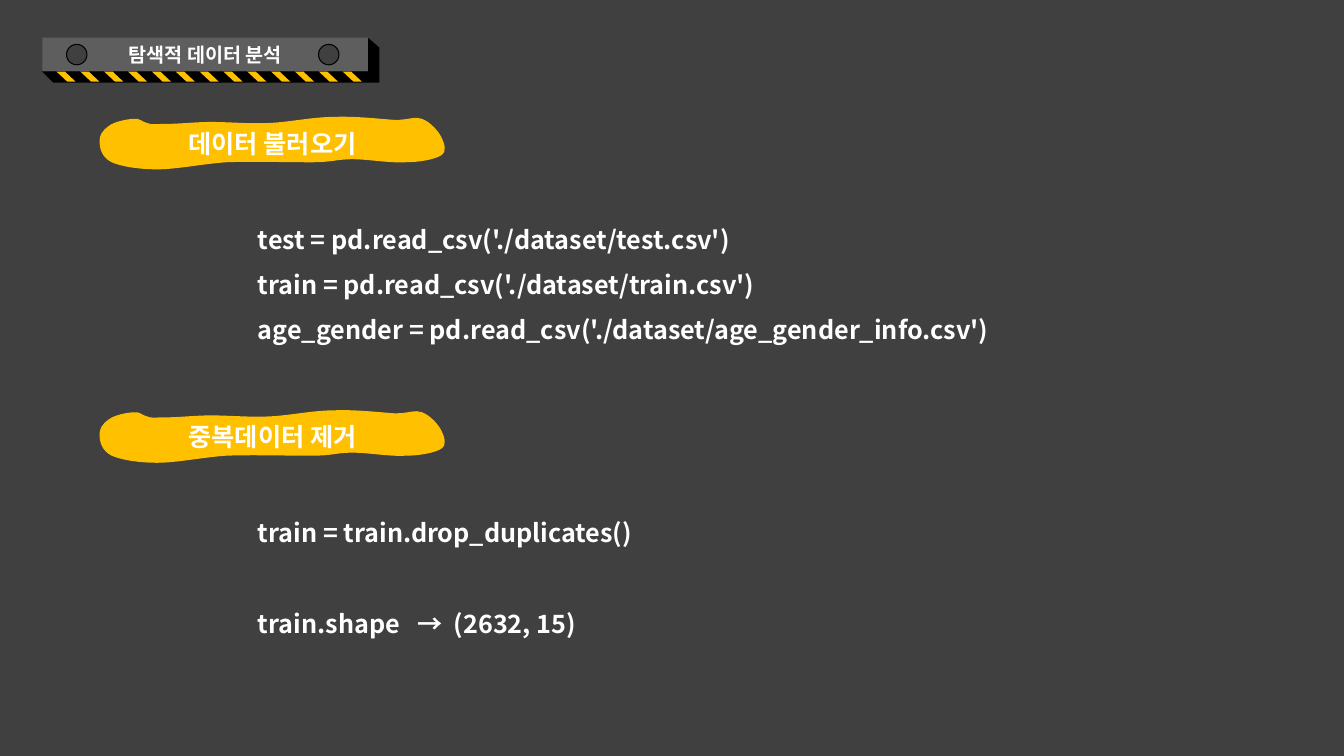
"""Build the data loading and duplicate removal slide."""
from lxml.etree import SubElement as Sub
from pptx import Presentation
from pptx.dml.color import RGBColor
from pptx.enum.shapes import MSO_SHAPE as Kind
from pptx.enum.text import MSO_ANCHOR as Anchor, MSO_AUTO_SIZE as Fit, PP_ALIGN as Align
from pptx.oxml.ns import qn
from pptx.util import Pt

FONT = "Noto Sans CJK KR"
GOLD, GREY, STEEL, BLACK, WHITE = "FFC000", "404040", "5E5E5E", "000000", "FFFFFF"
UNIT, WIDE, HIGH = 0.72, 343, 52
START = (9, 9)
CURVES = [
    (3, 13, -1, 19, 0, 25), (0, 31, 2, 40, 12, 45),
    (21, 49, 38, 52, 57, 52), (76, 52, 100, 47, 125, 45),
    (151, 44, 182, 45, 210, 45), (231, 45, 235, 42, 251, 42),
    (266, 42, 289, 46, 303, 45), (318, 45, 333, 42, 339, 38),
    (345, 34, 342, 26, 339, 20), (336, 14, 328, 5, 320, 2),
    (313, -1, 307, 3, 293, 3), (278, 2, 253, -1, 232, 0),
    (212, 0, 189, 5, 169, 6), (149, 7, 128, 5, 111, 5),
    (94, 5, 80, 7, 64, 7), (54, 7, 52, 8, 47, 6),
    (42, 5, 40, 1, 34, 2), (27, 2, 14, 5, 9, 9),
]


def color(code):
    return RGBColor.from_string(code)


class Deck:
    def __init__(self):
        self.file = Presentation()
        self.file.slide_width, self.file.slide_height = Pt(960), Pt(540)
        self.slide = self.file.slides.add_slide(self.file.slide_layouts[3])
        self.paint(self.slide.background, GREY)

    def paint(self, item, code):
        item.fill.solid()
        item.fill.fore_color.rgb = color(code)

    def place(self, item, box):
        item.left, item.top, item.width, item.height = map(Pt, box)

    def style(self, para, size, align):
        para.alignment = align
        for run in para.runs:
            font = run.font
            font.size, font.bold, font.name = Pt(size), True, FONT
            font.color.rgb = color(WHITE)
            Sub(font._element, qn("a:ea"), typeface=FONT)

    def label(self, item, text, size):
        frame = item.text_frame
        frame.text = text
        frame.word_wrap, frame.auto_size = True, Fit.NONE
        frame.vertical_anchor = Anchor.MIDDLE
        self.style(frame.paragraphs[0], size, Align.CENTER)

    def title(self, text, box):
        item = self.slide.shapes.title
        self.place(item, box)
        self.paint(item, STEEL)
        self.label(item, text, 14)

    def shape(self, kind, box, code, line=None):
        item = self.slide.shapes.add_shape(kind, *map(Pt, box))
        self.finish(item, code, line)
        return item

    def finish(self, item, code, line=None):
        item.shadow.inherit = False
        self.paint(item, code)
        if line:
            item.line.color.rgb = color(line)
            item.line.width = Pt(0.75)
        else:
            item.line.fill.background()

    def stripe(self, box):
        item = self.shape(Kind.PARALLELOGRAM, box, GOLD)
        item.adjustments[0] = 1.07
        item._element.spPr.find(qn("a:xfrm")).set("flipH", "1")

    def outline(self, spots, code, scale=1):
        pen = self.slide.shapes.build_freeform(*spots[0], scale=Pt(scale))
        pen.add_line_segments(spots[1:], close=True)
        item = pen.convert_to_shape()
        self.finish(item, code)
        return item

    def banner(self, text, left, top):
        item = self.outline([START] + [curve[4:] for curve in CURVES[:-1]], GOLD, UNIT)
        self.place(item, (left, top, WIDE * UNIT, HIGH * UNIT))
        route = next(item._element.iter(qn("a:path")))
        route.clear()
        route.set("w", str(WIDE))
        route.set("h", str(HIGH))
        self.spot(Sub(route, qn("a:moveTo")), *START)
        for curve in CURVES:
            bend = Sub(route, qn("a:cubicBezTo"))
            for i in range(0, 6, 2):
                self.spot(bend, *curve[i:i + 2])
        Sub(route, qn("a:close"))
        self.label(item, text, 18)

    def spot(self, node, x, y):
        Sub(node, qn("a:pt"), x=str(x), y=str(y))

    def code(self, index, lines, box, gap=0):
        item = self.slide.placeholders[index]
        self.place(item, box)
        frame = item.text_frame
        frame.text = "\n".join(lines)
        frame.word_wrap, frame.auto_size = True, Fit.NONE
        for i, para in enumerate(frame.paragraphs):
            self.style(para, 18, Align.LEFT)
            para.line_spacing = 1.5
            para.space_before = Pt(gap if i else 0)
            prop = para._p.get_or_add_pPr()
            prop.set("marL", "0")
            prop.set("indent", "0")
            Sub(prop, qn("a:buNone"))
        return frame

    def spread(self, para, parts):
        para.text = ""
        for text, space in parts:
            run = para.add_run()
            run.text = text
            if space:
                run.font._element.set("spc", str(space))
        self.style(para, 18, Align.LEFT)


deck = Deck()
left, top, right, base, deep = 30.2, 26.8, 263.3, 51.1, 7.6
deck.title("탐색적 데이터 분석", (left, top, right - left, base - top))
deck.outline([(right, top), (right + deep, top + deep), (right + deep, base + deep),
              (left + deep, base + deep), (left, base), (right, base)], BLACK)
for x in (47.5, 227.5):
    deck.shape(Kind.OVAL, (x, 31.7, 14.6, 14.6), GREY, BLACK)
for i in range(13):
    deck.stripe((40.3 + i * 17.04, base, 13.7, 7.2))

step = 209.6
deck.banner("데이터 불러오기", 71.2, 83.5)
deck.banner("중복데이터 제거", 71.2, 83.5 + step)
deck.code(1, ["test = pd.read_csv('./dataset/test.csv')",
              "train = pd.read_csv('./dataset/train.csv')",
              "age_gender = pd.read_csv('./dataset/age_gender_info.csv')"],
          (177, 145.5, 670, 101.5))
frame = deck.code(2, ["train = train.drop_duplicates()", "train.shape"],
                  (177, 145.5 + step, 670, 101.5), 32.5)
deck.spread(frame.paragraphs[1], [("train.shape", 0), (" ", 820), ("→", 0),
                                  (" ", 410), ("(2632, 15)", 0)])
deck.file.save("out.pptx")
